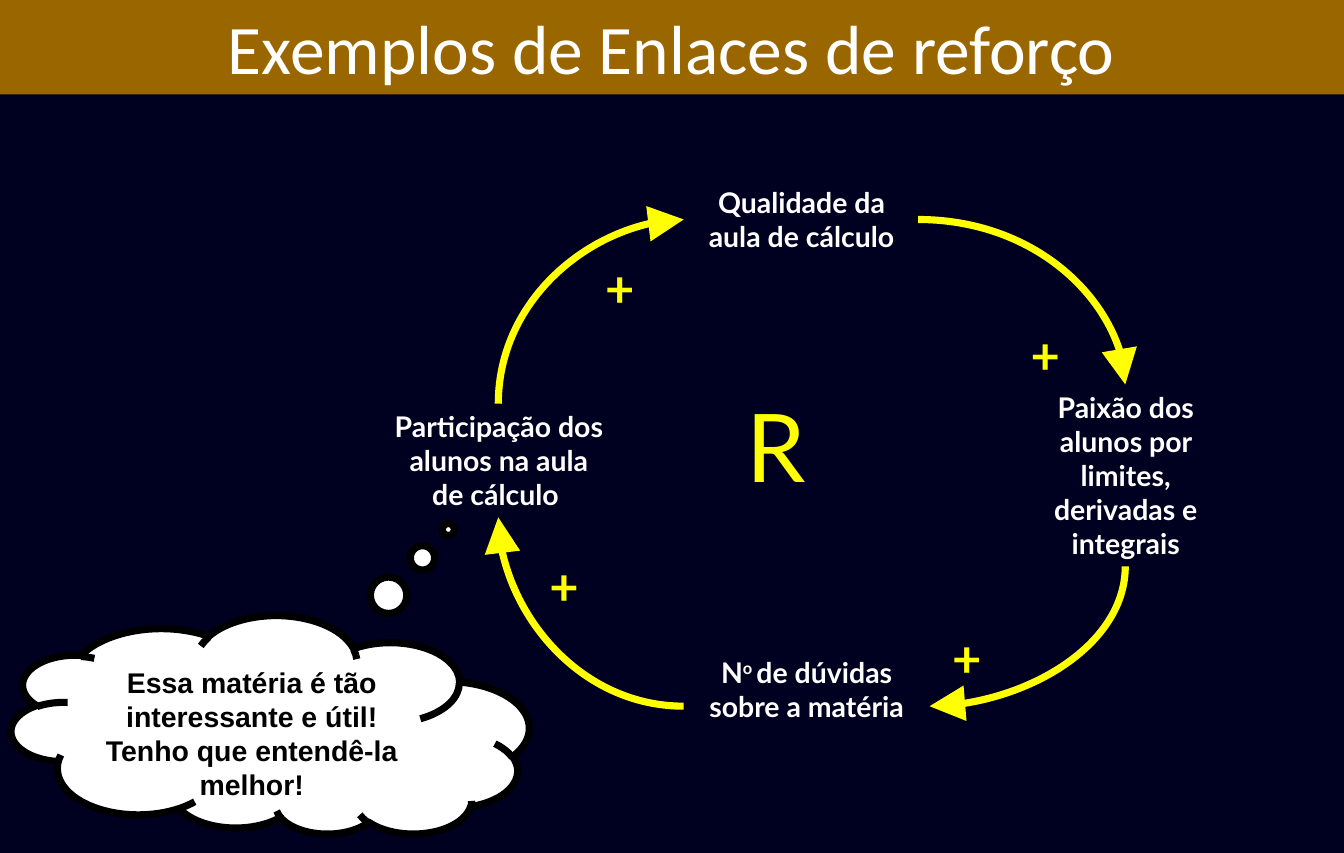
from dataclasses import dataclass

from lxml.etree import SubElement
from pptx import Presentation
from pptx.dml.color import RGBColor
from pptx.enum.shapes import MSO_CONNECTOR as Link, MSO_SHAPE as Shape
from pptx.enum.text import MSO_ANCHOR as Anchor, MSO_AUTO_SIZE as AutoSize, PP_ALIGN as Align
from pptx.oxml.ns import qn
from pptx.util import Inches, Pt

PAGE_WIDTH, PAGE_HEIGHT = 11 + 13 / 16, 7.5
WHITE, BLACK, YELLOW = "FFFFFF", "000000", "FFFF00"
NAVY, BROWN = "000020", "996600"
HALF_TURN = 180 * 60000
QUARTER_TURN = 90 * 60000


@dataclass
class Variable:
    """A node of the loop; spans pair each text with its baseline shift in percent."""
    left: float
    top: float
    width: float
    height: float
    spans: list[tuple[str, int]]


@dataclass
class Arrow:
    start: tuple[float, float]
    end: tuple[float, float]
    vertical_first: bool = False


VARIABLES = [
    Variable(6.01, 1.58, 2.07, 0.7, [("Qualidade da aula de cálculo", 0)]),
    Variable(8.86, 3.38, 2.07, 1.6,
             [("Paixão dos alunos por limites, derivadas e integrais", 0)]),
    Variable(6.01, 5.71, 2.16, 1,
             [("N", 0), ("o ", 30), ("de dúvidas sobre a matéria", 0)]),
    Variable(3.35, 3.55, 2.07, 1, [("Participação dos alunos na aula de cálculo ", 0)]),
]

ARROWS = [
    Arrow((8.07, 1.93), (9.89, 3.38)),
    Arrow((9.89, 4.98), (8.17, 6.21), vertical_first=True),
    Arrow((6.01, 6.21), (4.38, 4.55)),
    Arrow((4.38, 3.55), (6.01, 1.93), vertical_first=True),
]

PLUS_SIGNS = [(5.22, 2.21), (8.96, 2.8), (8.27, 5.46), (4.73, 4.83)]


def color(value: str) -> RGBColor:
    return RGBColor.from_string(value)


def write(frame, spans: list[tuple[str, int]], *, size: float, ink: str,
          font: str = "Lato", bold: bool = False, align=Align.LEFT,
          anchor=Anchor.TOP) -> None:
    frame.word_wrap = True
    frame.vertical_anchor = anchor
    para = frame.paragraphs[0]
    para.alignment = align
    for text, shift in spans:
        span = para.add_run()
        span.text = text
        span.font.size = Pt(size)
        span.font.name = font
        span.font.bold = bold
        span.font.color.rgb = color(ink)
        if shift:
            span.font._element.set("baseline", str(shift * 1000))


def add_text(page, left: float, top: float, width: float, height: float,
             spans: list[tuple[str, int]], **style) -> None:
    box = page.shapes.add_textbox(Inches(left), Inches(top), Inches(width), Inches(height))
    write(box.text_frame, spans, **style)
    box.text_frame.auto_size = AutoSize.SHAPE_TO_FIT_TEXT


def add_panel(page, kind, left: float, top: float, width: float, height: float, fill: str):
    panel = page.shapes.add_shape(
        kind, Inches(left), Inches(top), Inches(width), Inches(height))
    panel.shadow.inherit = False
    panel.fill.solid()
    panel.fill.fore_color.rgb = color(fill)
    panel.line.fill.background()
    return panel


def add_arrow(page, arrow: Arrow) -> None:
    (x1, y1), (x2, y2) = arrow.start, arrow.end
    if arrow.vertical_first:
        # The curve leaves sideways, so lay it out unturned around its centre
        mid_x, mid_y = (x1 + x2) / 2, (y1 + y2) / 2
        half_x, half_y = (y2 - y1) / 2, (x1 - x2) / 2
        x1, y1 = mid_x - half_x, mid_y - half_y
        x2, y2 = mid_x + half_x, mid_y + half_y
    curve = page.shapes.add_connector(
        Link.CURVE, Inches(x1), Inches(y1), Inches(x2), Inches(y2))
    curve.line.color.rgb = color(YELLOW)
    curve.line.width = Pt(4.5)
    properties = curve._element.spPr
    properties.find(qn("a:prstGeom")).set("prst", "curvedConnector2")
    if arrow.vertical_first:
        properties.find(qn("a:xfrm")).set("rot", str(QUARTER_TURN))
    SubElement(properties.find(qn("a:ln")), qn("a:tailEnd"),
               type="triangle", w="lg", len="lg")
    SubElement(properties, qn("a:effectLst"))


def add_thought(page) -> None:
    cloud = add_panel(page, Shape.CLOUD_CALLOUT, 0.1, 5.42, 4.55, 1.92, WHITE)
    cloud.adjustments[0] = 0.344
    cloud.adjustments[1] = 0.898
    cloud.line.color.rgb = color(BLACK)
    cloud.line.width = Pt(4.5)
    # Flip the tail upwards and turn the text back upright
    cloud._element.spPr.find(qn("a:xfrm")).set("flipV", "1")
    frame = cloud.text_frame
    frame._element.find(qn("a:bodyPr")).set("rot", str(HALF_TURN))
    write(frame, [("Essa matéria é tão interessante e útil! Tenho que entendê-la melhor!", 0)],
          size=18, ink=BLACK, font="Arial", bold=True, align=Align.CENTER)


def main() -> None:
    deck = Presentation()
    deck.slide_width, deck.slide_height = Inches(PAGE_WIDTH), Inches(PAGE_HEIGHT)
    page = deck.slides.add_slide(deck.slide_layouts[6])
    page.background.fill.solid()
    page.background.fill.fore_color.rgb = color(NAVY)

    # Reinforcing loop
    for node in VARIABLES:
        add_text(page, node.left, node.top, node.width, node.height, node.spans,
                 size=18, ink=WHITE, bold=True, align=Align.CENTER)
    for arrow in ARROWS:
        add_arrow(page, arrow)

    # Loop type and polarities
    add_text(page, 6.46, 3.36, 0.89, 1.1, [("R", 0)], size=60, ink=YELLOW)
    for left, top in PLUS_SIGNS:
        add_text(page, left, top, 0.59, 0.64, [("+", 0)], size=32, ink=YELLOW, bold=True)

    # Thought cloud
    add_thought(page)

    # Title band
    band = add_panel(page, Shape.RECTANGLE, 0, 0, PAGE_WIDTH, 0.83, BROWN)
    write(band.text_frame, [("Exemplos de Enlaces de reforço", 0)], size=44, ink=WHITE,
          font="Calibri", align=Align.CENTER, anchor=Anchor.MIDDLE)

    deck.save("out.pptx")


if __name__ == "__main__":
    main()
